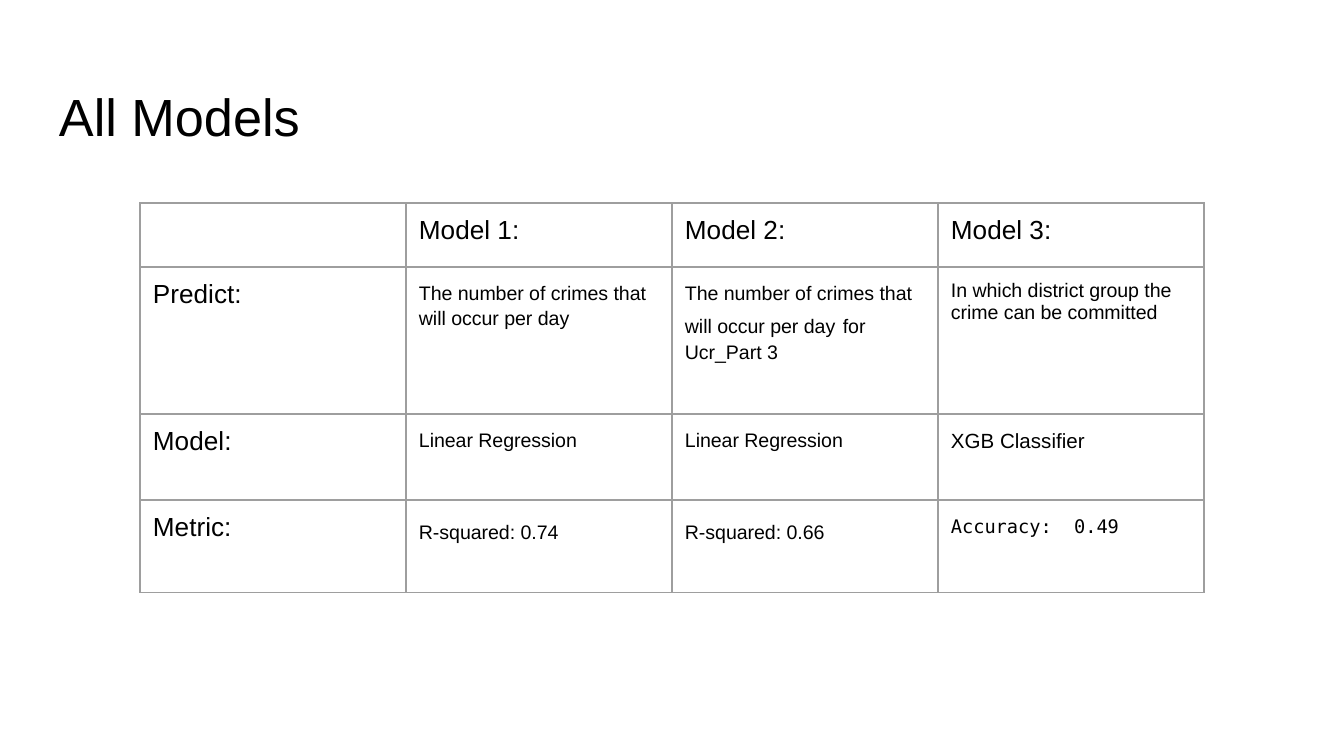
"""Build the slide that compares the three crime prediction models."""
from dataclasses import dataclass

import lxml.etree
import pptx
import pptx.dml.color
import pptx.enum.text
import pptx.oxml.ns
import pptx.util

EMU_PER_PX = 914400 / 134.4
BLACK = pptx.dml.color.RGBColor(0x00, 0x00, 0x00)
GRAY = pptx.dml.color.RGBColor(0x9E, 0x9E, 0x9E)
INSET = 13
COLUMN_WIDTH = 266
ROW_HEIGHTS = (64, 147, 86, 93)


@dataclass(frozen=True)
class Style:
    size: float
    line_spacing: float | None = None
    space_after: float | None = None
    font: str = "Arial"


@dataclass(frozen=True)
class Entry:
    style: Style
    texts: tuple[str | tuple[str, float], ...] = ()


TITLE = Style(28)
HEADING = Style(14)
PLAIN = Style(10.5)
BODY = Style(10.5, 1.15, 16)
CLASSIFIER = Style(11, 1.15, 16)
SCORE = Style(10.5, 1.43, 17)
CODE = Style(10, 1.15, 16, "DejaVu Sans Mono")

CRIMES_PER_DAY = "The number of crimes that will occur per day"
REGRESSION = Entry(BODY, ("Linear Regression",))
ROWS = (
    (
        Entry(HEADING),
        *(Entry(HEADING, (f"Model {number}:",)) for number in (1, 2, 3)),
    ),
    (
        Entry(HEADING, ("Predict:",)),
        Entry(BODY, (CRIMES_PER_DAY,)),
        Entry(BODY, (CRIMES_PER_DAY, (" ", 14), "for Ucr_Part 3")),
        Entry(PLAIN, ("In which district group the crime can be committed",)),
    ),
    (
        Entry(HEADING, ("Model:",)),
        REGRESSION,
        REGRESSION,
        Entry(CLASSIFIER, ("XGB Classifier",)),
    ),
    (
        Entry(HEADING, ("Metric:",)),
        Entry(SCORE, ("R-squared: 0.74",)),
        Entry(SCORE, ("R-squared: 0.66",)),
        Entry(CODE, ("Accuracy:  0.49",)),
    ),
)


def px(length: int) -> int:
    """Turn pixels into EMU."""
    return round(length * EMU_PER_PX)


def write(para, entry: Entry) -> None:
    """Fill a paragraph run by run."""
    style = entry.style
    para.font.size = pptx.util.Pt(style.size)
    if not entry.texts:
        end = lxml.etree.SubElement(para._p, pptx.oxml.ns.qn("a:endParaRPr"))
        end.set("sz", str(round(style.size * 100)))
    if style.line_spacing:
        para.line_spacing = style.line_spacing
    if style.space_after:
        para.space_after = pptx.util.Pt(style.space_after)
    for text in entry.texts:
        words, size = (text, style.size) if isinstance(text, str) else text
        span = para.add_run()
        span.text = words
        span.font.name = style.font
        span.font.size = pptx.util.Pt(size)
        span.font.color.rgb = BLACK


def set_insets(holder, top: int = INSET) -> None:
    """Set the margins of a cell or a text frame."""
    holder.margin_left = holder.margin_right = holder.margin_bottom = px(INSET)
    holder.margin_top = px(top)


def draw_borders(cell) -> None:
    """Draw a thin gray line on each side of a cell."""
    properties = cell._tc.get_or_add_tcPr()
    for side in ("lnL", "lnR", "lnT", "lnB"):
        line = lxml.etree.SubElement(properties, pptx.oxml.ns.qn(f"a:{side}"))
        line.set("w", str(pptx.util.Pt(0.75)))
        fill = lxml.etree.SubElement(line, pptx.oxml.ns.qn("a:solidFill"))
        color = lxml.etree.SubElement(fill, pptx.oxml.ns.qn("a:srgbClr"))
        color.set("val", str(GRAY))


def add_title(page, text: str) -> None:
    """Add the slide title."""
    box = page.shapes.add_textbox(px(46), px(66), px(1252), px(85))
    frame = box.text_frame
    frame.word_wrap = True
    frame.vertical_anchor = pptx.enum.text.MSO_ANCHOR.TOP
    set_insets(frame, top=18)
    write(frame.paragraphs[0], Entry(TITLE, (text,)))


def add_models_table(page) -> None:
    """Add the table with one column for each model."""
    columns = len(ROWS[0])
    frame = page.shapes.add_table(
        len(ROWS), columns, px(140), px(203),
        px(columns * COLUMN_WIDTH), px(sum(ROW_HEIGHTS)),
    )
    table = frame.table
    table.first_row = table.horz_banding = False
    for column in table.columns:
        column.width = px(COLUMN_WIDTH)
    for row, height, entries in zip(table.rows, ROW_HEIGHTS, ROWS):
        row.height = px(height)
        for cell, entry in zip(row.cells, entries):
            set_insets(cell)
            draw_borders(cell)
            cell.fill.background()
            write(cell.text_frame.paragraphs[0], entry)


def main() -> None:
    """Build and save the deck."""
    deck = pptx.Presentation()
    deck.slide_width, deck.slide_height = px(1344), px(756)
    page = deck.slides.add_slide(deck.slide_layouts[6])
    add_title(page, "All Models")
    add_models_table(page)
    deck.save("out.pptx")


if __name__ == "__main__":
    main()
